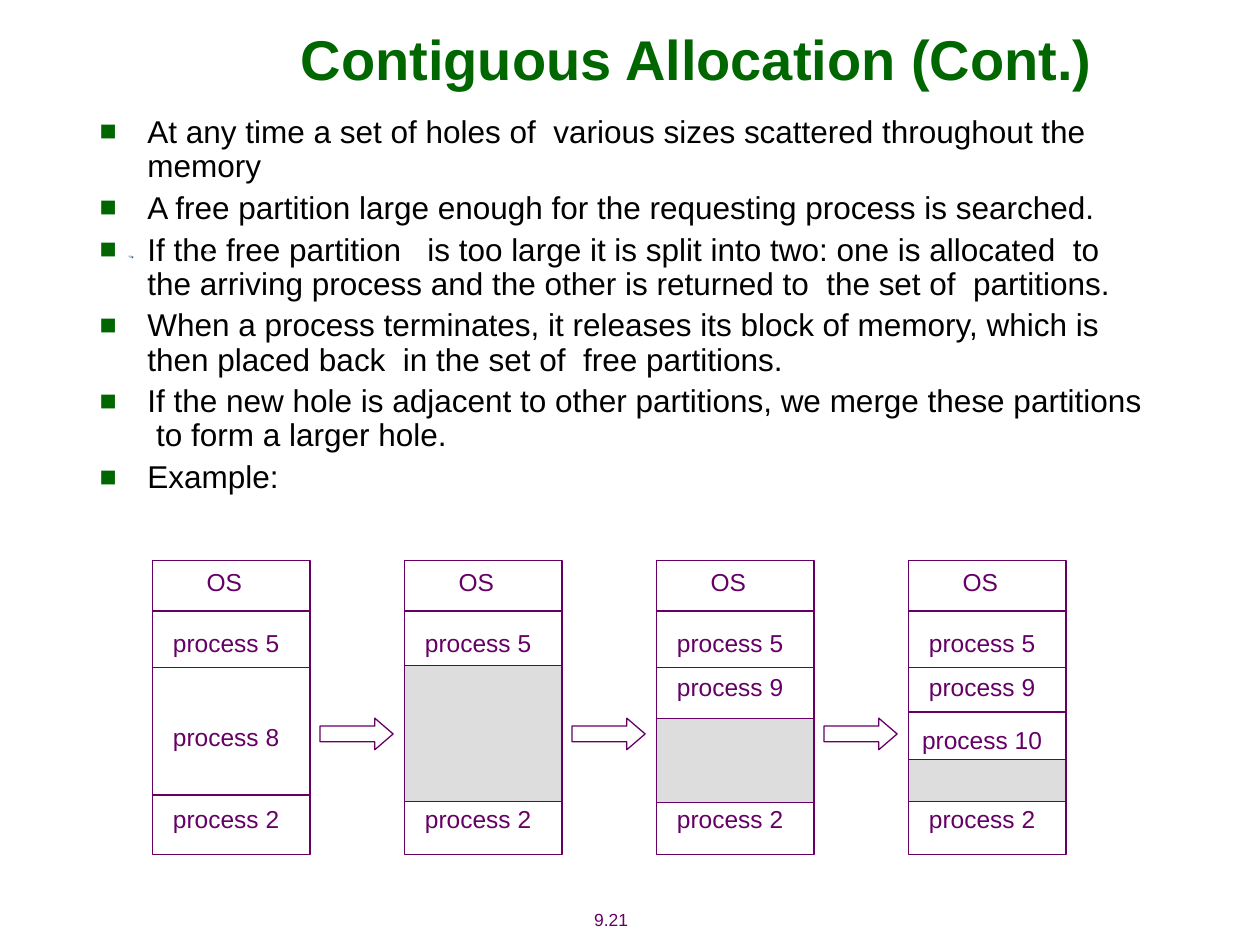
import pptx
import pptx.dml.color
import pptx.enum.shapes
import pptx.enum.text
import pptx.oxml
import pptx.oxml.ns
import pptx.util
from lxml import etree

Inches = pptx.util.Inches
Pt = pptx.util.Pt
SHAPES = pptx.enum.shapes.MSO_SHAPE
CENTER = pptx.enum.text.PP_ALIGN.CENTER
MIDDLE = pptx.enum.text.MSO_ANCHOR.MIDDLE
NO_FIT = pptx.enum.text.MSO_AUTO_SIZE.NONE
qn = pptx.oxml.ns.qn
COLORS = {
    name: pptx.dml.color.RGBColor.from_string(value)
    for name, value in {
        "purple": "660066", "green": "006600", "black": "000000",
        "white": "FFFFFF", "hole": "DDDDDD", "navy": "284C70", "mist": "BFCCD8",
    }.items()
}

deck = pptx.Presentation()
deck.slide_width, deck.slide_height = Inches(10), Inches(7.5)
slide = deck.slides.add_slide(deck.slide_layouts[1])
shapes = slide.shapes


def add_label(text, left, top, width, height, size):
    label = shapes.add_textbox(Inches(left), Inches(top), Inches(width), Inches(height))
    frame = label.text_frame
    frame.word_wrap = True
    frame.vertical_anchor = MIDDLE
    paragraph = frame.paragraphs[0]
    paragraph.alignment = CENTER
    run = paragraph.add_run()
    run.text = text
    run.font.name, run.font.size = "Arial", Pt(size)
    run.font.color.rgb = COLORS["purple"]


def add_block(kind, left, top, width, height, fill):
    block = shapes.add_shape(kind, Inches(left), Inches(top), Inches(width), Inches(height))
    block.shadow.inherit = False
    block.fill.solid()
    block.fill.fore_color.rgb = COLORS[fill]
    block.line.color.rgb = COLORS["purple"]
    block.line.width = Pt(0.75)
    return block


add_label("9.21", 4.38, 7.16, 0.94, 0.27, 10)

specks = [
    ("navy", [(1.02, 2.03), (1.04, 2.03), (1.06, 2.04), (1.05, 2.05), (1.03, 2.04)]),
    ("mist", [(1.02, 2.03), (1.04, 2.03), (1.05, 2.04), (1.04, 2.05), (1.02, 2.04)]),
    ("mist", [(1.63, 2.0), (1.65, 1.99), (1.67, 2.0), (1.66, 2.02), (1.64, 2.01)]),
]
for color, points in specks:
    start, *rest = [(Inches(x), Inches(y)) for x, y in points]
    builder = shapes.build_freeform(*start)
    builder.add_line_segments(rest, close=True)
    speck = builder.convert_to_shape()
    speck.shadow.inherit = False
    speck.fill.solid()
    speck.fill.fore_color.rgb = COLORS[color]
    speck.line.fill.background()

title = shapes.title
title.left, title.top, title.width, title.height = [Inches(v) for v in (1.28, 0, 8.5, 0.92)]
title.text_frame.auto_size = NO_FIT
title.text_frame.vertical_anchor = MIDDLE
heading = title.text_frame.paragraphs[0]
heading.alignment = CENTER
heading_run = heading.add_run()
heading_run.text = "Contiguous Allocation (Cont.)"
heading_run.font.name, heading_run.font.size = "Arial", Pt(32)
heading_run.font.bold = True
heading_run.font.color.rgb = COLORS["green"]

points = [
    "At any time a set of holes of  various sizes scattered throughout the memory",
    "A free partition large enough for the requesting process is searched.",
    "If the free partition   is too large it is split into two: one is allocated  to "
    "the arriving process and the other is returned to  the set of  partitions.",
    "When a process terminates, it releases its block of memory, which is then placed "
    "back  in the set of  free partitions.",
    "If the new hole is adjacent to other partitions, we merge these partitions "
    " to form a larger hole.",
    "Example:",
]
body = slide.placeholders[1]
body.left, body.top, body.width, body.height = [Inches(v) for v in (0.69, 0.87, 8.48, 3.17)]
body.text_frame.auto_size = NO_FIT
for index, point in enumerate(points):
    item = body.text_frame.add_paragraph() if index else body.text_frame.paragraphs[0]
    properties = item._p.get_or_add_pPr()
    properties.set("marL", str(Inches(0.38)))
    properties.set("indent", str(-Inches(0.38)))
    bullet_color = etree.SubElement(properties, qn("a:buClr"))
    etree.SubElement(bullet_color, qn("a:srgbClr"), val=str(COLORS["green"]))
    etree.SubElement(properties, qn("a:buSzPct"), val="90000")
    etree.SubElement(properties, qn("a:buFont"), typeface="Arial")
    etree.SubElement(properties, qn("a:buChar"), char="■")
    item.line_spacing = 0.9
    item.space_before = Pt(4.5 if index else 0)
    run = item.add_run()
    run.text = point
    run.font.name, run.font.size = "Arial", Pt(18)
    run.font.color.rgb = COLORS["black"]

memory_states = [
    {"labels": [("process 8", 5.68)], "hole": None, "dividers": []},
    {"labels": [], "hole": (5.28, 1.08), "dividers": []},
    {"labels": [("process 9", 5.28)], "hole": (5.7, 0.67), "dividers": []},
    {"labels": [("process 9", 5.28), ("process 10", 5.7)], "hole": (6.03, 0.33),
     "dividers": [5.65]},
]
common_labels = [("process 5", 4.93), ("process 2", 6.33)]
memory_width = 1.25
for index, state in enumerate(memory_states):
    left = 1.21 + 2 * index
    add_block(SHAPES.RECTANGLE, left, 4.45, memory_width, 2.33, "white")
    for y in [4.85, 5.3, 6.31] + state["dividers"]:
        divider = shapes.add_connector(
            pptx.enum.shapes.MSO_CONNECTOR.STRAIGHT,
            Inches(left), Inches(y), Inches(left + memory_width), Inches(y))
        divider.line.color.rgb = COLORS["purple"]
        divider.line.width = Pt(0.75)
        etree.SubElement(divider._element.spPr, qn("a:effectLst"))
    if state["hole"]:
        hole_top, hole_height = state["hole"]
        add_block(SHAPES.RECTANGLE, left, hole_top, memory_width, hole_height, "hole")
    add_label("OS", left + 0.33, 4.45, 0.48, 0.34, 14)
    for text, top in common_labels + state["labels"]:
        add_label(text, left, top, 1.17, 0.34, 14)

for index in range(len(memory_states) - 1):
    arrow = add_block(SHAPES.RIGHT_ARROW, 2.54 + 2 * index, 5.7, 0.58, 0.25, "white")
    arrow.adjustments[0] = 0.5
    arrow.adjustments[1] = 0.58

deck.save("out.pptx")
